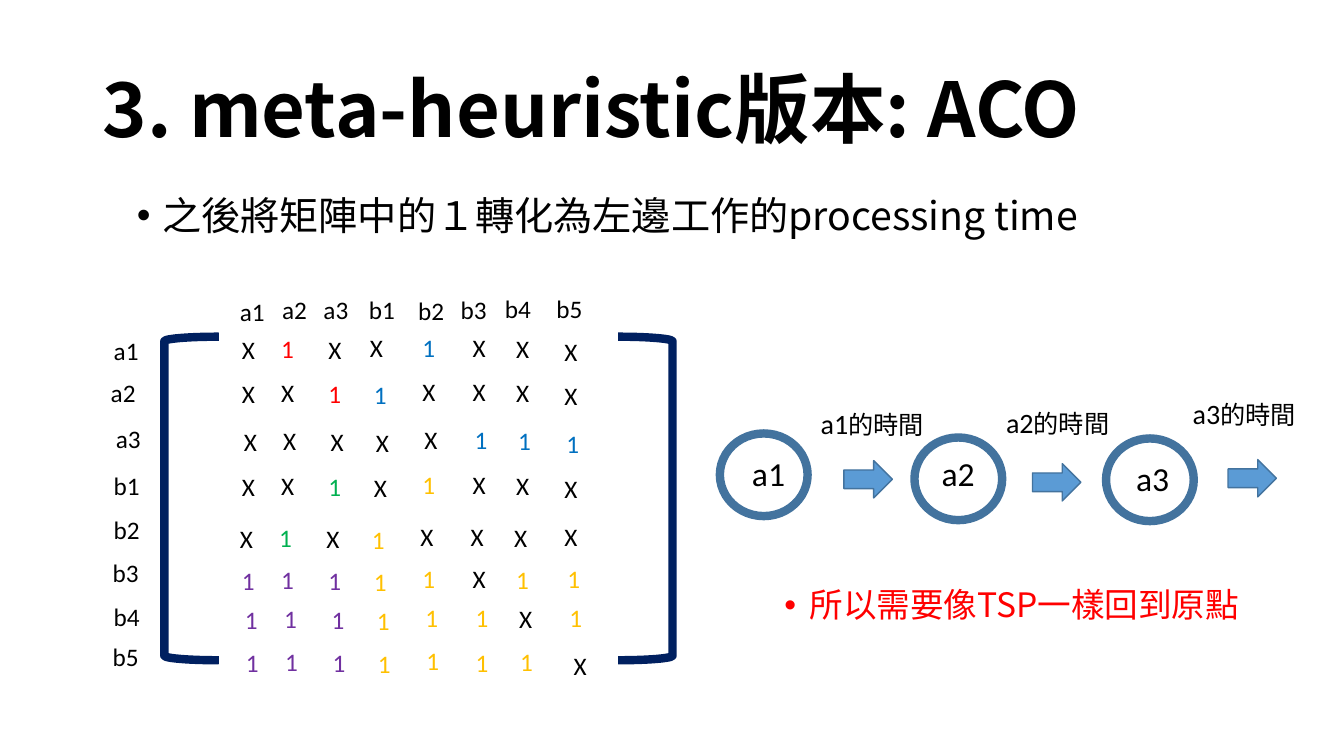
from lxml import etree
from pptx import Presentation
from pptx.dml.color import RGBColor
from pptx.enum import shapes, text
from pptx.oxml.ns import qn
from pptx.util import Inches, Pt

# Content
TITLE = "3. meta-heuristic版本: ACO"
# (text, box, size, colour)
BULLETS = [
    ("之後將矩陣中的１轉化為左邊工作的processing time", (1.26, 1.9, 11.5, 0.91), "body", "black"),
    ("所以需要像TSP一樣回到原點", (7.68, 5.79, 4.98, 0.91), "step", "red"),
]
JOBS = ["a1", "a2", "a3", "b1", "b2", "b3", "b4", "b5"]
# X = blocked; any other letter is a 1 in that colour
MATRIX = ["XRXXBXXX", "XXRBXXXX", "XXXXXBBB", "XXGXYXXX",
          "XGXYXXXX", "PPPYYXYY", "PPPYYYXY", "PPPYYYYX"]
ONES = {"R": "red", "B": "blue", "G": "green", "Y": "gold", "P": "purple"}
# job, circle, name, arrow, time label: left and top of each
STEPS = [
    ("a1", (7.14, 4.3), (7.36, 4.44), (8.37, 4.57), (8.04, 3.98)),
    ("a2", (9.07, 4.34), (9.24, 4.44), (10.24, 4.6), (9.88, 3.97)),
    ("a3", (10.97, 4.35), (11.17, 4.49), (12.18, 4.56), (11.73, 3.88)),
]
TIME = "的時間"

# Matrix layout: column lefts, row tops, and the drift of each row and column
COL_X = [2.3, 2.69, 3.16, 3.61, 4.09, 4.59, 5.02, 5.5]
COL_DY = [0, -0.01, 0, 0.01, -0.02, -0.02, -0.01, 0.02]
ROW_Y = [3.27, 3.7, 4.18, 4.63, 5.14, 5.56, 5.95, 6.37]
ROW_DX = [0, 0, 0.02, 0, -0.02, 0, 0.03, 0.04]
NUDGE = {(0, 3): (-0.04, -0.03), (4, 7): (0.02, -0.04), (5, 7): (0.03, -0.04),
         (6, 7): (0.02, -0.04), (7, 7): (0.05, 0.01), (7, 5): (-0.01, 0.02)}
HEAD_AT = [(2.28, 2.89), (2.7, 2.87), (3.11, 2.87), (3.56, 2.87),
           (4.05, 2.88), (4.47, 2.87), (4.91, 2.86), (5.42, 2.86)]
SIDE_AT = [(1.03, 3.28), (1, 3.69), (1.05, 4.15), (1.03, 4.62),
           (1.03, 5.05), (1.02, 5.48), (1.03, 5.92), (1.02, 6.31)]
BRACKETS = [(1.63, 0), (6.13, 180)]

THEME = {
    "font": "Calibri", "cjk": "Noto Sans CJK SC",
    "size": {"title": 54, "body": 28, "step": 24, "time": 20, "cell": 18},
    "color": {"black": "000000", "red": "FF0000", "blue": "0070C0", "green": "00B050",
              "gold": "FFC000", "purple": "7030A0", "navy": "002060",
              "arrow": "5B9BD5", "outline": "43739E"},
}

prs = Presentation()
prs.slide_width, prs.slide_height = Inches(13.33), Inches(7.5)
slide = prs.slides.add_slide(prs.slide_layouts[6])


def rgb(name):
    return RGBColor.from_string(THEME["color"][name])


def add_text(words, box, size="cell", color="black", font="font"):
    tf = slide.shapes.add_textbox(*map(Inches, box)).text_frame
    tf.word_wrap = True
    p = tf.paragraphs[0]
    p.add_run().text = words
    p.font.size = Pt(THEME["size"][size])
    p.font.name = THEME[font]
    p.font.color.rgb = rgb(color)
    if font == "cjk":
        p.line_spacing = 0.9
        r_pr = p.runs[0].font._element
        etree.SubElement(r_pr, qn("a:ea"), typeface=THEME[font])
    return tf


def add_bullet(words, box, size, color):
    p = add_text(words, box, size, color, "cjk").paragraphs[0]
    p.space_before = Pt(10)
    p_pr = p._p.get_or_add_pPr()
    p_pr.set("marL", str(Inches(0.25)))
    p_pr.set("indent", str(-Inches(0.25)))
    bullet_font = etree.Element(qn("a:buFont"), typeface="Arial")
    bullet = etree.Element(qn("a:buChar"), char="•")
    p_pr.find(qn("a:defRPr")).addprevious(bullet_font)
    bullet_font.addnext(bullet)


def add_shape(kind, box, line, width, fill=None):
    sp = slide.shapes.add_shape(kind, *map(Inches, box))
    sp.shadow.inherit = False
    sp.line.color.rgb, sp.line.width = rgb(line), Pt(width)
    if fill:
        sp.fill.solid()
        sp.fill.fore_color.rgb = rgb(fill)
    else:
        sp.fill.background()
    return sp


# Title and bullets
title = add_text(TITLE, (0.92, 0.4, 11.5, 1.45), "title", font="cjk")
title.vertical_anchor = text.MSO_ANCHOR.MIDDLE
title.paragraphs[0].font.bold = True
for bullet in BULLETS:
    add_bullet(*bullet)

# Matrix brackets and job names
for x, turn in BRACKETS:
    bracket = add_shape(shapes.MSO_SHAPE.LEFT_BRACKET, (x, 3.34, 0.54, 3.21), "navy", 6)
    bracket.rotation = turn
for places in (HEAD_AT, SIDE_AT):
    for job, at in zip(JOBS, places):
        add_text(job, (*at, 0.5, 0.4))

# Matrix cells
for i, row in enumerate(MATRIX):
    for j, mark in enumerate(row):
        dx, dy = NUDGE.get((i, j), (0, 0))
        box = (COL_X[j] + ROW_DX[i] + dx, ROW_Y[i] + COL_DY[j] + dy, 0.43, 0.4)
        add_text("1" if mark in ONES else "X", box, color=ONES.get(mark, "black"))

# Job sequence
for job, circle, name, arrow, label in STEPS:
    add_shape(shapes.MSO_SHAPE.OVAL, (*circle, 0.87, 0.82), "outline", 6)
    add_shape(shapes.MSO_SHAPE.RIGHT_ARROW, (*arrow, 0.48, 0.37), "outline", 1, "arrow")
    add_text(job, (*name, 0.66, 0.5), "step")
    p = add_text(job, (*label, 1.38, 0.44), "time").paragraphs[0]
    r = p.add_run()
    r.text = TIME
    r.font.size = Pt(THEME["size"]["cell"])

prs.save("out.pptx")
